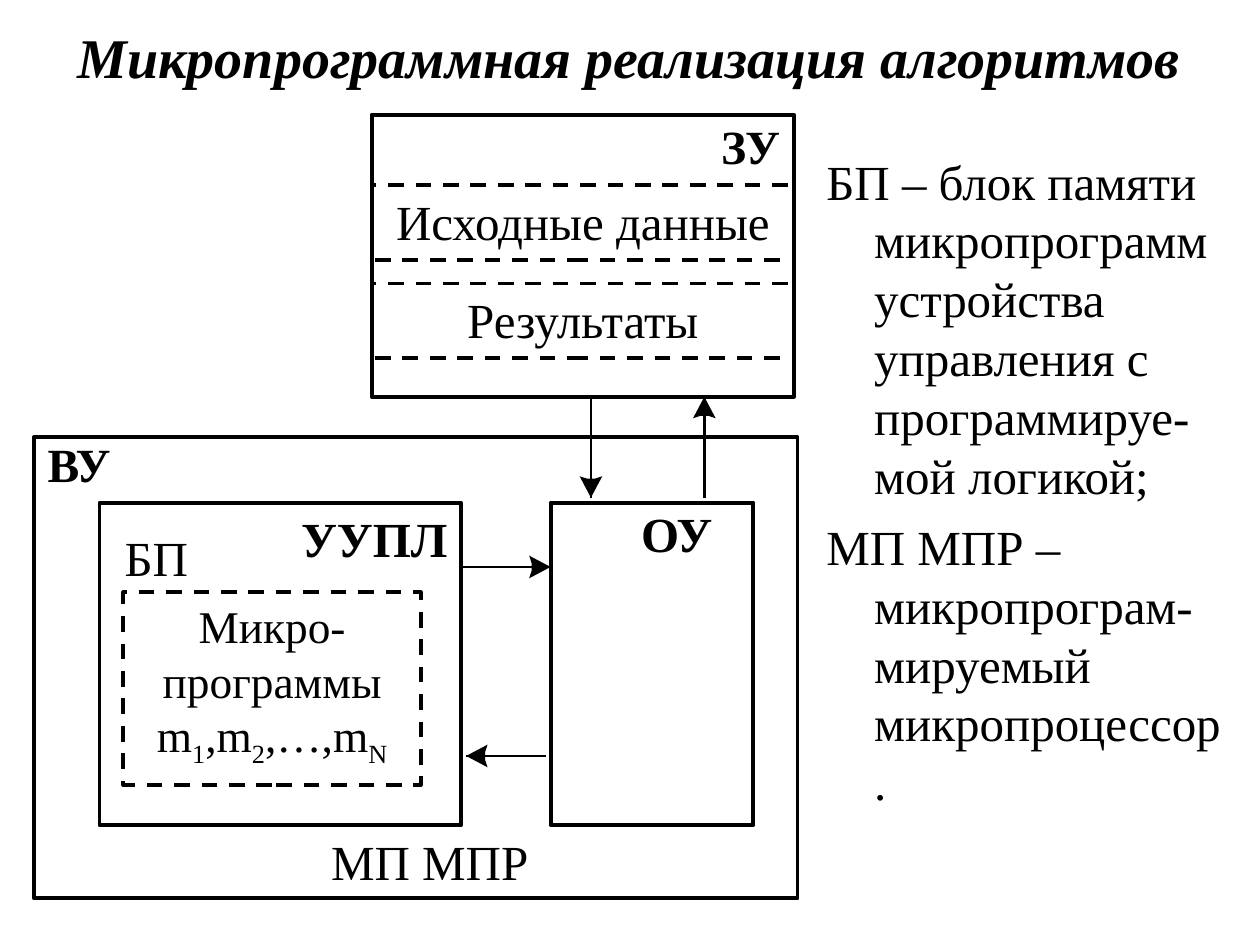
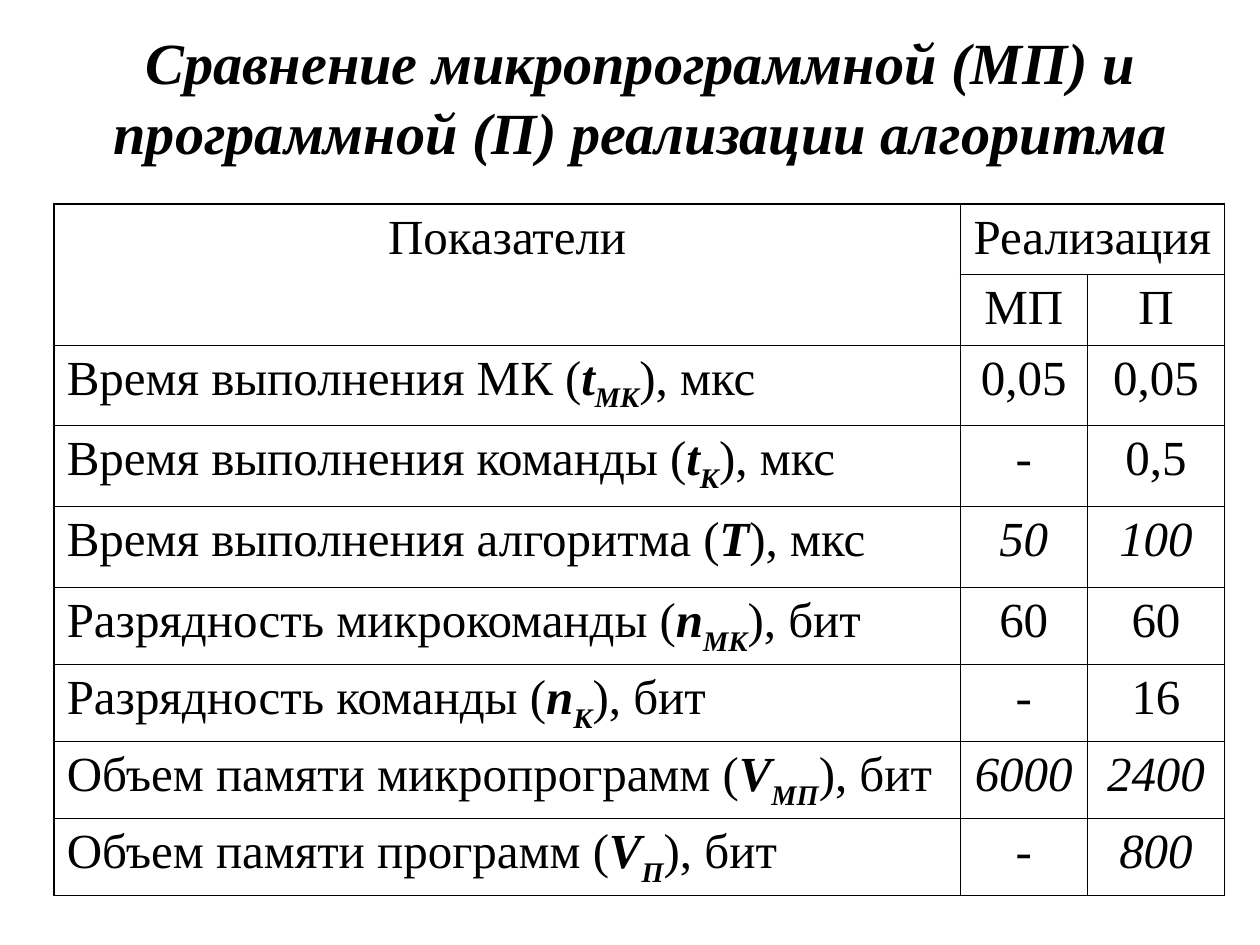
from lxml import etree
from pptx import Presentation
from pptx.dml.color import RGBColor
from pptx.enum import dml, shapes, text
from pptx.oxml import ns
from pptx.util import Inches, Pt

BLACK = RGBColor(0, 0, 0)
WHITE = RGBColor(255, 255, 255)
FONT = "Times New Roman"
LEFT, CENTER, RIGHT = text.PP_ALIGN.LEFT, text.PP_ALIGN.CENTER, text.PP_ALIGN.RIGHT
SIZE = 28
SPACE_BEFORE = 7

SCHEME_TITLE = ("Микропрограммная реализация алгоритмов", (0.27, 0.13, 9.45, 0.63), 32)
LEGEND_BOX = (6.46, 1.15, 3.39, 5.95)
LEGEND = [
    "БП – блок памяти микропрограмм устройства управления с программируе-мой логикой;",
    "МП МПР – микропрограм-мируемый микропроцессор.",
]
BLOCKS = [
    (2.95, 0.91, 3.35, 2.24),
    (0.27, 3.47, 6.06, 3.66),
    (0.79, 3.99, 2.87, 2.56),
    (4.37, 3.99, 1.61, 2.56),
]
DATA_AREAS = [
    ("Исходные данные", (2.95, 1.47, 3.35, 0.59)),
    ("Результаты", (2.95, 2.25, 3.35, 0.59)),
]
MICROPROGRAMS_BOX = (0.98, 4.7, 2.36, 1.53)
MICROPROGRAMS_SIZE = 25.9
MICROPROGRAMS_HEAD = "Микро-"
MICROPROGRAMS = [("программы m", "1"), (",m", "2"), (",…,m", "N")]
LABELS = [
    ("ЗУ", (4.09, 0.88, 2.2, 0.59), RIGHT, 27.2, True),
    ("ВУ", (0.28, 3.4, 2.2, 0.59), LEFT, 27.2, True),
    ("УУПЛ", (2.28, 3.99, 1.38, 0.59), CENTER, SIZE, True),
    ("ОУ", (4.76, 3.95, 1.22, 0.59), CENTER, SIZE, True),
    ("БП", (0.55, 4.14, 1.38, 0.59), CENTER, SIZE, False),
    ("МП МПР", (0.79, 6.55, 5.24, 0.59), CENTER, SIZE, False),
]
ARROWS = [
    ((4.69, 3.16), (4.69, 3.95), 1.39),
    ((5.59, 3.95), (5.59, 3.15), 1.39),
    ((3.66, 4.5), (4.37, 4.5), 0.75),
    ((4.33, 6), (3.7, 6), 0.75),
]
HEAD_LENGTH, HEAD_HALF, HEAD_NOTCH = 0.17, 0.09, 0.15

TABLE_TITLE = (
    "Сравнение микропрограммной (МП) и программной (П) реализации алгоритма",
    (0.44, 0.14, 9.29, 1.25), 33.3)
TABLE_AT = (0.43, 1.62)
COLUMNS = [7.19, 1.01, 1.09]
ROWS = [0.56] * 2 + [0.64] * 3 + [0.61] * 4
HEADER = [(0, 0, "Показатели"), (0, 1, "Реализация"), (1, 1, "МП"), (1, 2, "П")]
INDICATORS = [
    ("Время выполнения МК", "t", "МК", "мкс", ("0,05", "0,05"), False),
    ("Время выполнения команды", "t", "К", "мкс", ("-", "0,5"), False),
    ("Время выполнения алгоритма", "T", "", "мкс", ("50", "100"), True),
    ("Разрядность микрокоманды", "n", "МК", "бит", ("60", "60"), False),
    ("Разрядность команды", "n", "К", "бит", ("-", "16"), False),
    ("Объем памяти микропрограмм", "V", "МП", "бит", ("6000", "2400"), True),
    ("Объем памяти программ", "V", "П", "бит", ("-", "800"), True),
]
INNER_BORDER, OUTER_BORDER = 0.45, 1.08


def inches(values):
    return [Inches(v) for v in values]


def style(r, size=SIZE, bold=False, italic=False, drop=0):
    f = r.font
    f.name, f.size, f.bold, f.italic = FONT, Pt(size), bold, italic
    f.color.rgb = BLACK
    if drop:
        r._r.get_or_add_rPr().set("baseline", str(-drop * 1000))


def add_run(p, content, **look):
    r = p.add_run()
    r.text = content
    style(r, **look)


def write(p, content, align=CENTER, **look):
    p.text = content
    p.alignment = align
    for r in p.runs:
        style(r, **look)


def add_titled_slide(prs, title, box, size):
    slide = prs.slides.add_slide(prs.slide_layouts[5])
    sp = slide.shapes.title
    sp.left, sp.top, sp.width, sp.height = inches(box)
    tf = sp.text_frame
    tf.auto_size = text.MSO_AUTO_SIZE.NONE
    tf.vertical_anchor = text.MSO_ANCHOR.MIDDLE
    write(tf.paragraphs[0], title, size=size, bold=True, italic=True)
    return slide


def add_text(slide, box):
    tf = slide.shapes.add_textbox(*inches(box)).text_frame
    tf.word_wrap = True
    return tf


def add_block(slide, box, dashed=False):
    sp = slide.shapes.add_shape(shapes.MSO_SHAPE.RECTANGLE, *inches(box))
    sp.shadow.inherit = False
    sp.fill.background()
    sp.line.color.rgb = BLACK
    sp.line.width = Pt(2.25)
    if dashed:
        sp.line.dash_style = dml.MSO_LINE.DASH
    tf = sp.text_frame
    tf.word_wrap = True
    tf.vertical_anchor = text.MSO_ANCHOR.TOP
    return tf


def add_arrow(slide, start, tip, width):
    line = slide.shapes.add_connector(
        shapes.MSO_CONNECTOR.STRAIGHT, *inches(start + tip))
    line.line.color.rgb = BLACK
    line.line.width = Pt(width)
    etree.SubElement(line._element.spPr, ns.qn("a:effectLst"))

    (x, y), dx, dy = tip, tip[0] - start[0], tip[1] - start[1]
    length = abs(dx) + abs(dy)
    ux, uy = dx / length, dy / length

    def point(back, side):
        return inches((x - ux * back - uy * side, y - uy * back + ux * side))

    builder = slide.shapes.build_freeform(*point(0, 0))
    builder.add_line_segments([
        point(HEAD_LENGTH, HEAD_HALF),
        point(HEAD_NOTCH, HEAD_HALF / 3),
        point(HEAD_NOTCH, -HEAD_HALF / 3),
        point(HEAD_LENGTH, -HEAD_HALF),
    ])
    head = builder.convert_to_shape()
    head.shadow.inherit = False
    head.fill.solid()
    head.fill.fore_color.rgb = BLACK
    head.line.fill.background()


def build_scheme(prs):
    slide = add_titled_slide(prs, *SCHEME_TITLE)

    tf = add_text(slide, LEGEND_BOX)
    tf.text = "\n".join(LEGEND)
    for p in tf.paragraphs:
        write(p, p.text, align=LEFT)
        p.space_before = Pt(SPACE_BEFORE)
        pPr = p._p.get_or_add_pPr()
        pPr.set("marL", str(Inches(0.38)))
        pPr.set("indent", str(Inches(-0.38)))

    for box in BLOCKS:
        add_block(slide, box)
    for content, box in DATA_AREAS:
        write(add_block(slide, box, dashed=True).paragraphs[0], content)

    tf = add_block(slide, MICROPROGRAMS_BOX, dashed=True)
    write(tf.paragraphs[0], MICROPROGRAMS_HEAD, size=MICROPROGRAMS_SIZE)
    p = tf.add_paragraph()
    p.alignment = CENTER
    for content, index in MICROPROGRAMS:
        add_run(p, content, size=MICROPROGRAMS_SIZE)
        add_run(p, index, size=MICROPROGRAMS_SIZE, drop=25)

    for content, box, align, size, bold in LABELS:
        write(add_text(slide, box).paragraphs[0], content, align, size=size, bold=bold)
    for arrow in ARROWS:
        add_arrow(slide, *arrow)


def set_borders(cell, row, col):
    outer = {
        "lnL": col == 0,
        "lnR": col == len(COLUMNS) - 1,
        "lnT": row == 0,
        "lnB": row == len(ROWS) - 1,
    }
    tcPr = cell._tc.get_or_add_tcPr()
    for i, (side, is_outer) in enumerate(outer.items()):
        ln = etree.Element(ns.qn(f"a:{side}"))
        ln.set("w", str(Pt(OUTER_BORDER if is_outer else INNER_BORDER)))
        fill = etree.SubElement(ln, ns.qn("a:solidFill"))
        etree.SubElement(fill, ns.qn("a:srgbClr")).set("val", str(BLACK))
        tcPr.insert(i, ln)


def build_table(prs):
    slide = add_titled_slide(prs, *TABLE_TITLE)
    frame = slide.shapes.add_table(
        len(ROWS), len(COLUMNS), *inches(TABLE_AT + (sum(COLUMNS), sum(ROWS))))
    table = frame.table
    table.first_row = table.horz_banding = False
    for column, width in zip(table.columns, COLUMNS):
        column.width = Inches(width)
    for row, height in zip(table.rows, ROWS):
        row.height = Inches(height)

    table.cell(0, 0).merge(table.cell(1, 0))
    table.cell(0, 1).merge(table.cell(0, 2))
    for row, col, content in HEADER:
        write(table.cell(row, col).text_frame.paragraphs[0], content)

    for row, (name, symbol, index, unit, values, italic) in enumerate(INDICATORS, 2):
        p = table.cell(row, 0).text_frame.paragraphs[0]
        add_run(p, f"{name} (")
        add_run(p, symbol, bold=True, italic=True)
        if index:
            add_run(p, index, bold=True, italic=True, drop=25 if symbol == "t" else 30)
        add_run(p, f"), {unit}")
        for col, value in enumerate(values, 1):
            write(table.cell(row, col).text_frame.paragraphs[0], value, italic=italic)

    for row in range(len(ROWS)):
        for col in range(len(COLUMNS)):
            cell = table.cell(row, col)
            cell.fill.solid()
            cell.fill.fore_color.rgb = WHITE
            cell.text_frame.paragraphs[0].space_before = Pt(SPACE_BEFORE)
            set_borders(cell, row, col)


def main():
    prs = Presentation()
    prs.slide_width, prs.slide_height = Inches(10), Inches(7.5)
    build_scheme(prs)
    build_table(prs)
    prs.save("out.pptx")


if __name__ == "__main__":
    main()
